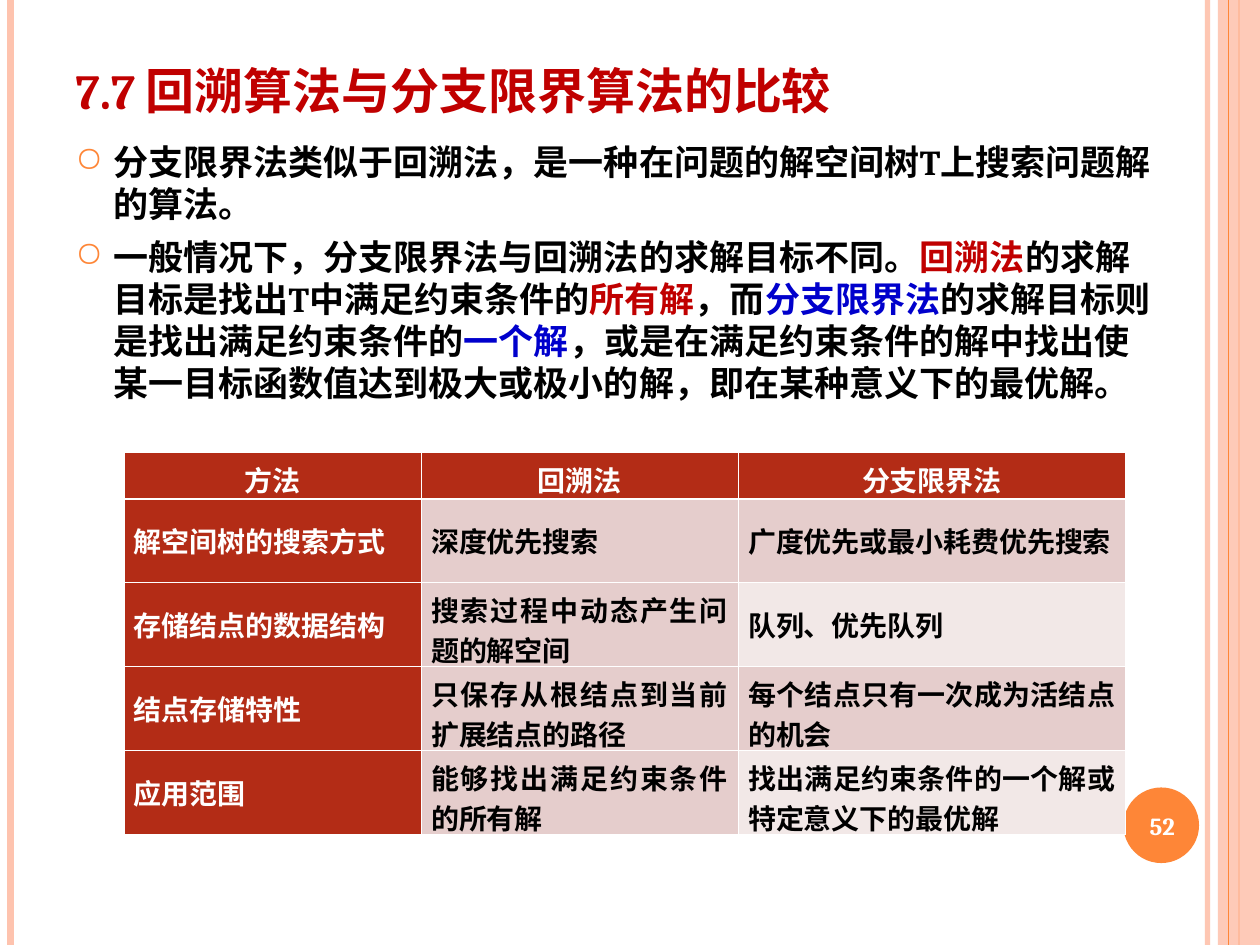
from dataclasses import dataclass

from lxml.etree import SubElement
from pptx import Presentation
from pptx.dml.color import RGBColor
from pptx.enum.lang import MSO_LANGUAGE_ID
from pptx.enum.shapes import MSO_CONNECTOR, MSO_SHAPE
from pptx.enum.text import MSO_ANCHOR, PP_ALIGN
from pptx.oxml.ns import qn
from pptx.util import Inches, Pt


@dataclass(frozen=True)
class Theme:
    font: str = "Cambria"
    orange: str = "FE8637"
    peach: str = "FEC3AE"
    red: str = "C00000"
    blue: str = "0000CC"
    black: str = "000000"
    white: str = "FFFFFF"
    header: str = "B32C16"
    band_dark: str = "E5CDCC"
    band_light: str = "F2E8E7"
    title_size: int = 28
    body_size: int = 20
    body_leading: int = 24
    table_size: int = 16
    number_size: int = 14


def grid(*cells):
    """Convert columns or rows of a 120 by 90 grid to lengths."""
    return [Inches(cell / 12) for cell in cells]


def add_solid_fill(parent, color, alpha=100):
    fill = SubElement(parent, qn("a:solidFill"))
    rgb = SubElement(fill, qn("a:srgbClr"), val=color)
    set_alpha(rgb, alpha)


def set_alpha(rgb, alpha):
    if alpha < 100:
        SubElement(rgb, qn("a:alpha"), val=str(alpha * 1000))


class SlideBuilder:
    def __init__(self, slide, theme):
        self.slide = slide
        self.theme = theme

    def run(self, paragraph, text, size, color):
        run = paragraph.add_run()
        run.text = text
        font = run.font
        font.name, font.size, font.bold = self.theme.font, Pt(size), True
        font.color.rgb = RGBColor.from_string(color)
        font.language_id = MSO_LANGUAGE_ID.SIMPLIFIED_CHINESE

    def title(self, text, *box):
        title = self.slide.shapes.title
        title.left, title.top, title.width, title.height = grid(*box)
        frame = title.text_frame
        frame.vertical_anchor = MSO_ANCHOR.BOTTOM
        heading = frame.paragraphs[0]
        heading.alignment = PP_ALIGN.LEFT
        self.run(heading, text, self.theme.title_size, self.theme.red)

    def vertical_rule(self, column, width, color, alpha=100):
        x, bottom = grid(column, 90)
        rule = self.slide.shapes.add_connector(
            MSO_CONNECTOR.STRAIGHT, x, 0, x, bottom)
        rule.line.width = Pt(width)
        rule.line.color.rgb = RGBColor.from_string(color)
        properties = rule._element.spPr
        set_alpha(properties.find(".//" + qn("a:srgbClr")), alpha)
        SubElement(properties, qn("a:effectLst"))

    def shape(self, preset, color, *box, alpha=100):
        shape = self.slide.shapes.add_shape(preset, *grid(*box))
        shape.shadow.inherit = False
        shape.line.fill.background()
        shape.fill.solid()
        shape.fill.fore_color.rgb = RGBColor.from_string(color)
        set_alpha(shape._element.spPr.find(".//" + qn("a:srgbClr")), alpha)

    def text_frame(self, *box):
        frame = self.slide.shapes.add_textbox(*grid(*box)).text_frame
        frame.word_wrap = True
        return frame

    def bullets(self, points, *box):
        frame = self.text_frame(*box)
        for index, point in enumerate(points):
            paragraph = frame.add_paragraph() if index else frame.paragraphs[0]
            paragraph.line_spacing = Pt(self.theme.body_leading)
            if index:
                paragraph.space_before = Pt(6)
            properties = paragraph._p.get_or_add_pPr()
            indent = Inches(0.3)
            properties.set("marL", str(indent))
            properties.set("indent", str(-indent))
            color = SubElement(properties, qn("a:buClr"))
            SubElement(color, qn("a:srgbClr"), val=self.theme.orange)
            SubElement(properties, qn("a:buChar"), char="○")
            for text, text_color in point:
                self.run(paragraph, text, self.theme.body_size, text_color)

    def page_number(self, number, *box):
        frame = self.text_frame(*box)
        frame.vertical_anchor = MSO_ANCHOR.MIDDLE
        paragraph = frame.paragraphs[0]
        paragraph.alignment = PP_ALIGN.CENTER
        self.run(paragraph, number, self.theme.number_size, self.theme.white)

    def table(self, rows, left, top, columns, heights):
        theme = self.theme
        table = self.slide.shapes.add_table(
            len(rows), len(columns),
            *grid(left, top, sum(columns), sum(heights))).table
        for column, width in zip(table.columns, grid(*columns)):
            column.width = width
        for row, height in zip(table.rows, grid(*heights)):
            row.height = height
        for r, row in enumerate(rows):
            for c, text in enumerate(row):
                heading = r == 0 or c == 0
                light = c == 2 and r % 2 == 0
                band = theme.band_light if light else theme.band_dark
                self.cell(table.cell(r, c), text,
                          theme.header if heading else band,
                          theme.white if heading else theme.black,
                          PP_ALIGN.JUSTIFY if r else PP_ALIGN.CENTER)
                self.borders(table.cell(r, c), r)

    def cell(self, cell, text, fill, color, alignment):
        cell.fill.solid()
        cell.fill.fore_color.rgb = RGBColor.from_string(fill)
        cell.vertical_anchor = MSO_ANCHOR.MIDDLE
        cell.margin_left = cell.margin_right = Inches(0.08)
        paragraph = cell.text_frame.paragraphs[0]
        paragraph.alignment = alignment
        self.run(paragraph, text, self.theme.table_size, color)

    def borders(self, cell, row):
        """Draw thin white edges, thicker below the header row."""
        thick = {0: "lnB", 1: "lnT"}.get(row)
        properties = cell._tc.get_or_add_tcPr()
        for place, edge in enumerate(("lnL", "lnR", "lnT", "lnB")):
            width = Pt(1.47 if edge == thick else 0.45)
            line = SubElement(properties, qn("a:" + edge), w=str(width))
            add_solid_fill(line, self.theme.white)
            properties.insert(place, line)


def main():
    theme = Theme()
    deck = Presentation()
    deck.slide_width, deck.slide_height = grid(120, 90)
    page = SlideBuilder(deck.slides.add_slide(deck.slide_layouts[5]), theme)

    page.vertical_rule(115, 3, theme.peach, alpha=93)
    page.vertical_rule(1, 4.5, theme.peach)
    page.vertical_rule(118, 1.5, theme.orange)
    page.shape(MSO_SHAPE.RECTANGLE, theme.peach, 116, 0, 4, 90, alpha=87)
    page.vertical_rule(117, 0.75, theme.orange)
    page.shape(MSO_SHAPE.OVAL, theme.orange, 107, 75, 7.2, 7.2)

    page.title("7.7 回溯算法与分支限界算法的比较", 6, 1.6, 106, 10.4)
    page.bullets([
        [("分支限界法类似于回溯法，是一种在问题的解空间树T上搜索问题解的算法。",
          theme.black)],
        [("一般情况下，分支限界法与回溯法的求解目标不同。", theme.black),
         ("回溯法", theme.red),
         ("的求解目标是找出T中满足约束条件的", theme.black),
         ("所有解", theme.red),
         ("，而", theme.black),
         ("分支限界法", theme.blue),
         ("的求解目标则是找出满足约束条件的", theme.black),
         ("一个解", theme.blue),
         ("，或是在满足约束条件的解中找出使某一目标函数值达到极大或极小的解，"
          "即在某种意义下的最优解。", theme.black)],
    ], 6, 12.8, 106, 30.2)
    page.page_number("52", 106.7, 75.2, 8, 6.8)
    page.table([
        ("方法", "回溯法", "分支限界法"),
        ("解空间树的搜索方式", "深度优先搜索", "广度优先或最小耗费优先搜索"),
        ("存储结点的数据结构", "搜索过程中动态产生问题的解空间", "队列、优先队列"),
        ("结点存储特性", "只保存从根结点到当前扩展结点的路径",
         "每个结点只有一次成为活结点的机会"),
        ("应用范围", "能够找出满足约束条件的所有解",
         "找出满足约束条件的一个解或特定意义下的最优解"),
    ], 11.8, 43.1, columns=(28.3, 30.2, 36.9), heights=(4, 8, 8, 8, 8))

    deck.save("out.pptx")


if __name__ == "__main__":
    main()
